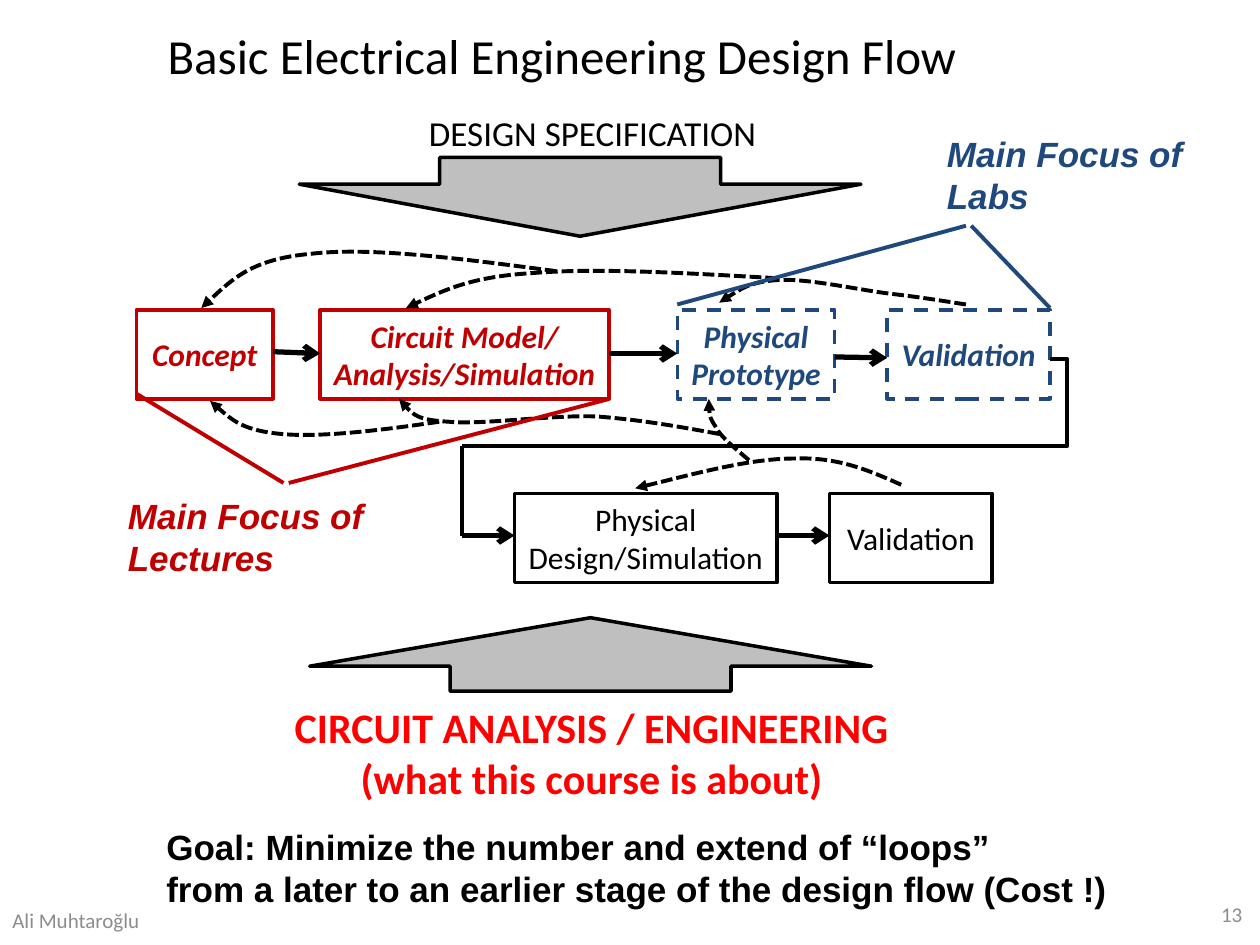
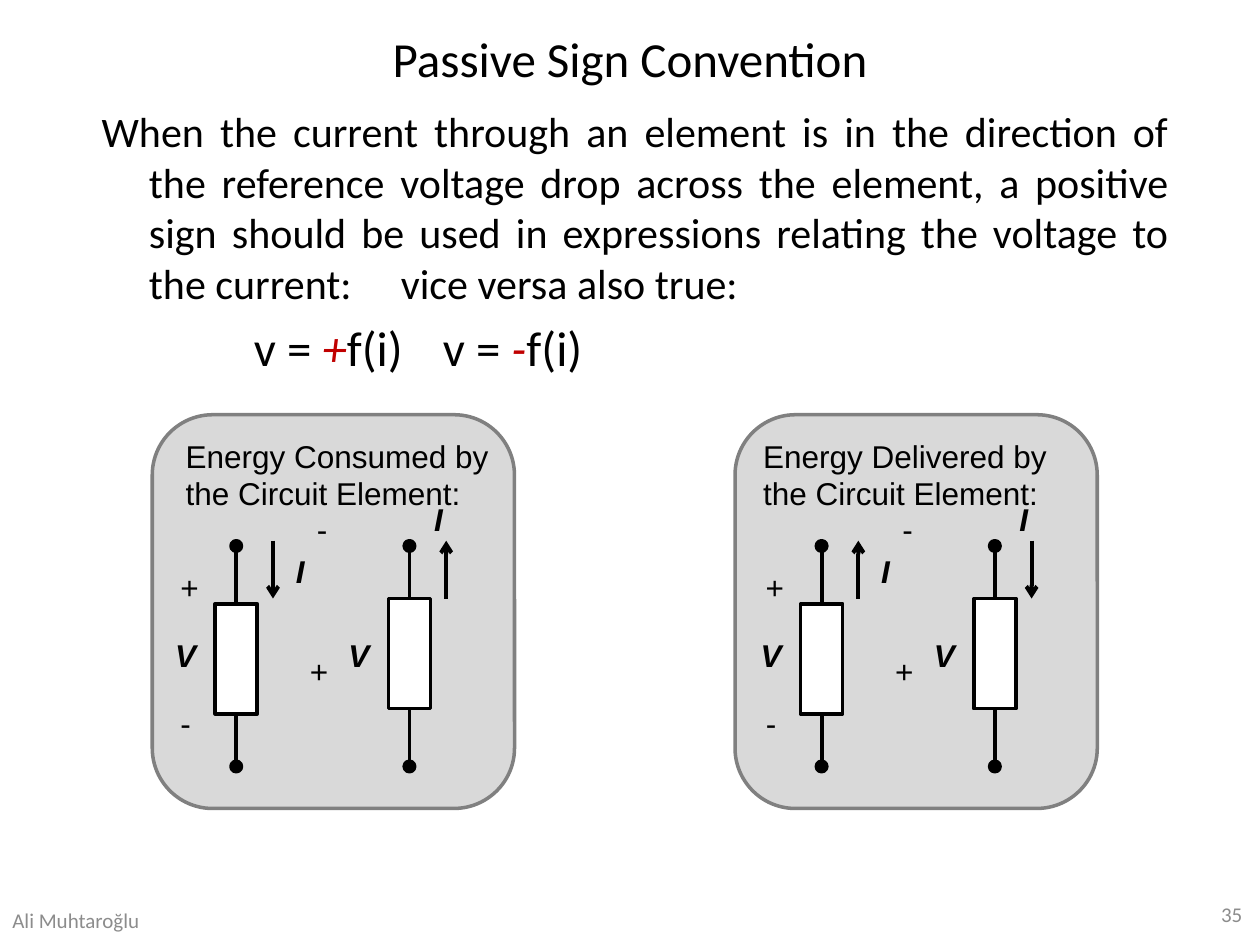
import dataclasses
import lxml.etree
import pptx
import pptx.dml.color
import pptx.enum.dml
import pptx.enum.shapes
import pptx.enum.text
import pptx.oxml.ns
import pptx.util

Pt = pptx.util.Pt
qn = pptx.oxml.ns.qn
Kind = pptx.enum.shapes.MSO_SHAPE
Wire = pptx.enum.shapes.MSO_CONNECTOR
Dash = pptx.enum.dml.MSO_LINE
Side = pptx.enum.text.PP_ALIGN
Hold = pptx.enum.text.MSO_ANCHOR


@dataclasses.dataclass(frozen=True)
class Theme:
    black: str = "000000"
    white: str = "FFFFFF"
    gray: str = "8C8C8C"
    arrow: str = "BFBFBF"
    panel: str = "D9D9D9"
    edge: str = "808080"
    crimson: str = "C00000"
    red: str = "FF0000"
    navy: str = "1F497D"
    sans: str = "Calibri"
    plain: str = "Arial"
    title: int = 28
    body: int = 24
    label: int = 20
    node: int = 18
    foot: int = 12
    thin: float = 2
    line: float = 2.25
    bold: float = 3


THEME = Theme()


def tint(code):
    return pptx.dml.color.RGBColor.from_string(code)


def style(par, size, face, color, bold=False, slant=False):
    for run in par.runs:
        font = run.font
        font.size, font.name = Pt(size), face
        font.bold, font.italic = bold, slant
        font.color.rgb = tint(color)


def write(shape, text, size, face=THEME.sans, color=THEME.black, align=Side.LEFT,
          hold=Hold.TOP, wrap=True, **looks):
    frame = shape.text_frame
    frame.text = text
    frame.word_wrap = wrap
    frame.auto_size = pptx.enum.text.MSO_AUTO_SIZE.NONE
    frame.vertical_anchor = hold
    for par in frame.paragraphs:
        par.alignment = align
        style(par, size, face, color, **looks)


def label(slide, box, text, size, **looks):
    area = slide.shapes.add_textbox(*map(Pt, box))
    write(area, text, size, **looks)
    return area


def stroke(item, color, width, dash=None, tail=None):
    item.line.color.rgb = tint(color)
    item.line.width = Pt(width)
    if dash:
        item.line.dash_style = dash
    if tail:
        pen = item._element.spPr.find(qn("a:ln"))
        lxml.etree.SubElement(pen, qn("a:tailEnd")).set("type", tail)


def shape(slide, kind, box, fill=None, color=THEME.black, dash=None):
    item = slide.shapes.add_shape(kind, *map(Pt, box))
    item.shadow.inherit = False
    if fill:
        item.fill.solid()
        item.fill.fore_color.rgb = tint(fill)
    else:
        item.fill.background()
    stroke(item, color, THEME.thin, dash)
    return item


def link(slide, ends, color=THEME.black, width=THEME.line, tail=None,
         kind=Wire.STRAIGHT):
    item = slide.shapes.add_connector(kind, *map(Pt, ends))
    stroke(item, color, width, tail=tail)
    lxml.etree.SubElement(item._element.spPr, qn("a:effectLst"))
    return item


def curve(slide, x, y, knots):
    spots = [(Pt(x + a), Pt(y + b)) for a, b in knots]
    draft = slide.shapes.build_freeform(*spots[0])
    draft.add_line_segments(spots[1:], close=False)
    item = draft.convert_to_shape()
    item.shadow.inherit = False
    item.fill.background()
    stroke(item, THEME.black, THEME.line, Dash.SQUARE_DOT, "triangle")
    steps = list(item._element.iter(qn("a:lnTo")))
    route = steps[0].getparent()
    for first in range(0, len(steps), 3):
        bend = lxml.etree.SubElement(route, qn("a:cubicBezTo"))
        for step in steps[first:first + 3]:
            bend.append(step[0])
            route.remove(step)


def start(deck, title, number, box):
    slide = deck.slides.add_slide(deck.slide_layouts[5])
    head = slide.shapes.title
    head.left, head.top, head.width, head.height = map(Pt, box)
    write(head, title, THEME.title, align=Side.CENTER, hold=Hold.MIDDLE)
    looks = dict(color=THEME.gray, hold=Hold.MIDDLE)
    label(slide, (525, 508, 192, 29), number, THEME.foot, align=Side.RIGHT, **looks)
    label(slide, (0, 511, 99, 29), "Ali Muhtaroğlu", THEME.foot, **looks)
    return slide


def block(slide, kind, x, y, high):
    item = shape(slide, kind, (x, y, 321, high), THEME.arrow)
    item.adjustments[0], item.adjustments[1] = 0.5, 0.66


NODES = [
    ("Concept", 0, 0, 78, THEME.crimson),
    ("Circuit Model/ Analysis/Simulation", 105, 0, 165, THEME.crimson),
    ("Physical\nPrototype", 309, 0, 90, THEME.navy),
    ("Validation", 429, 0, 93, THEME.navy),
    ("Physical\nDesign/Simulation", 216, 105, 150, THEME.black),
    ("Validation", 396, 105, 93, THEME.black),
]
STEPS = [(78, 24, 105, 25), (270, 25, 309, 25), (399, 27, 429, 27.5),
         (366, 129, 396, 129), (186, 129, 216, 129)]
LOOPS = [
    [(437, 100), (419, 92), (401, 84), (376, 85), (351, 85), (318, 94), (285, 102)],
    [(350, 86), (342, 79), (334, 73), (331, 67), (327, 61), (327, 56), (327, 51)],
    [(333, 71), (311, 67), (289, 63), (263, 61), (237, 60), (197, 66), (178, 64),
     (160, 63), (155, 57), (150, 51)],
    [(173, 64), (139, 69), (105, 73), (83, 71), (61, 69), (52, 61), (42, 52)],
    [(474, -3), (461, -5), (449, -7), (432, -9), (414, -11), (384, -18), (367, -17),
     (351, -16), (342, -10), (333, -4)],
    [(366, -18), (314, -21), (263, -24), (227, -21), (192, -19), (173, -10), (154, -1)],
    [(240, -22), (187, -29), (134, -36), (100, -32), (66, -29), (52, -15), (37, -1)],
]
FOCUS = [
    ("Main Focus of Lectures", -12, 102, THEME.crimson,
     [(270, 51, 87, 99), (0, 48, 84, 99)]),
    ("Main Focus of Labs", 456, -105, THEME.navy,
     [(309, -3, 474, -48), (522, -1, 477, -48)]),
]


def shift(ends, x, y):
    return ends[0] + x, ends[1] + y, ends[2] + x, ends[3] + y


def flow(slide, x, y):
    for text, left, top, wide, color in NODES:
        dash = Dash.DASH if color == THEME.navy else None
        node = shape(slide, Kind.RECTANGLE, (x + left, y + top, wide, 51),
                     color=color, dash=dash)
        strong = color != THEME.black
        write(node, text, THEME.node, color=color, align=Side.CENTER,
              hold=Hold.MIDDLE, bold=strong, slant=strong)
        node.text_frame.margin_left = node.text_frame.margin_right = 0
    for ends in STEPS:
        link(slide, shift(ends, x, y), width=THEME.bold, tail="arrow")
    elbow = link(slide, shift((186, 28, 522, 78), x, y), kind=Wire.ELBOW)
    elbow.rotation = 180
    elbow._element.spPr.xfrm.set("flipV", "1")
    guide = lxml.etree.SubElement(
        next(elbow._element.iter(qn("a:avLst"))), qn("a:gd"))
    guide.set("name", "adj1")
    guide.set("fmla", "val -2900")
    link(slide, shift((186, 78, 186, 129), x, y))
    for knots in LOOPS:
        curve(slide, x, y, knots)


def focus(slide, x, y):
    for text, left, top, color, rays in FOCUS:
        label(slide, (x + left, y + top, 171, 55), text, THEME.label,
              face=THEME.plain, color=color, bold=True, slant=True)
        for ends in rays:
            link(slide, shift(ends, x, y), color)


def design(deck):
    slide = start(deck, "Basic Electrical Engineering Design Flow", "13",
                  (36, 9, 570, 45))
    block(slide, Kind.DOWN_ARROW, 171, 90, 45)
    block(slide, Kind.UP_ARROW, 177, 353, 42)
    label(slide, (238, 60, 203, 32), "DESIGN SPECIFICATION", THEME.label, wrap=False)
    label(slide, (157, 397.5, 362, 65),
          "CIRCUIT ANALYSIS / ENGINEERING\n(what this course is about)", THEME.body,
          color=THEME.red, align=Side.CENTER, wrap=False, bold=True)
    flow(slide, 78, 177)
    focus(slide, 78, 177)
    label(slide, (88, 468, 559, 55),
          "Goal: Minimize the number and extend of “loops”\n"
          "from a later to an earlier stage of the design flow (Cost !)",
          THEME.label, face=THEME.plain, bold=True)


def indent(par, left, first, tab):
    props = par._p.get_or_add_pPr()
    props.set("marL", str(Pt(left)))
    props.set("indent", str(Pt(first)))
    stops = lxml.etree.SubElement(props, qn("a:tabLst"))
    stop = lxml.etree.SubElement(stops, qn("a:tab"))
    stop.set("pos", str(Pt(tab)))
    stop.set("algn", "l")


def rule(slide, box):
    area = label(
        slide, box,
        "When the current through an element is in the direction of the reference "
        "voltage drop across the element, a positive sign should be used in "
        "expressions relating the voltage to the current:\tvice versa also true:",
        THEME.body, align=Side.JUSTIFY)
    indent(area.text_frame.paragraphs[0], 27, -27, 360)
    par = area.text_frame.add_paragraph()
    par.space_before = Pt(5.6)
    indent(par, 87, 0, 331)
    for text in ("v = ", "+", "f(i)\tv = ", "-", "f(i)"):
        par.add_run().text = text
    style(par, THEME.title, THEME.sans, THEME.black)
    for sign in (par.runs[1], par.runs[3]):
        sign.font.color.rgb = tint(THEME.crimson)
        sign.font.italic = True


def cell(slide, x, y, top, marks, down):
    shape(slide, Kind.RECTANGLE, (x + 36, y + top, 24, 63), THEME.white)
    for high, low in ((78, top), (top + 63, 201)):
        link(slide, shift((48, high, 48, low), x, y))
    for dot in (72, 198):
        shape(slide, Kind.OVAL, (x + 45, y + dot, 6, 6), THEME.black)
    ends = (69, 72, 69, 105) if down else (69, 105, 69, 72)
    link(slide, shift(ends, x, y), tail="arrow")
    for text, wide, (left, high) in zip("+-IV", (25, 21, 19, 27), marks):
        strong = text in "IV"
        label(slide, (x + left, y + high, wide, 29), text, THEME.node,
              face=THEME.plain, wrap=False, bold=strong, slant=strong)


def panel(slide, x, y, verb, inset, nudge, down):
    shape(slide, Kind.ROUNDED_RECTANGLE, (x, y, 207, 225), THEME.panel, THEME.edge)
    cell(slide, x + nudge, y, 108, [(9, 84), (9, 162), (75, 75), (6, 123)], down)
    cell(slide, x + nudge + 99, y, 105,
         [(-16, 132), (-12, 51), (55, 45), (6, 123)], not down)
    label(slide, (x + inset, y + 9, 189, 51),
          f"Energy {verb} by\nthe Circuit Element:", THEME.node,
          face=THEME.plain, wrap=False)


def signs(deck):
    slide = start(deck, "Passive Sign Convention", "35", (36, 9, 648, 48))
    rule(slide, (51, 57, 624, 147))
    panel(slide, 87, 237, "Consumed", 12, 0, True)
    panel(slide, 420, 237, "Delivered", 9, 1.5, False)


def main():
    deck = pptx.Presentation()
    deck.slide_width, deck.slide_height = Pt(720), Pt(540)
    design(deck)
    signs(deck)
    deck.save("out.pptx")


if __name__ == "__main__":
    main()
